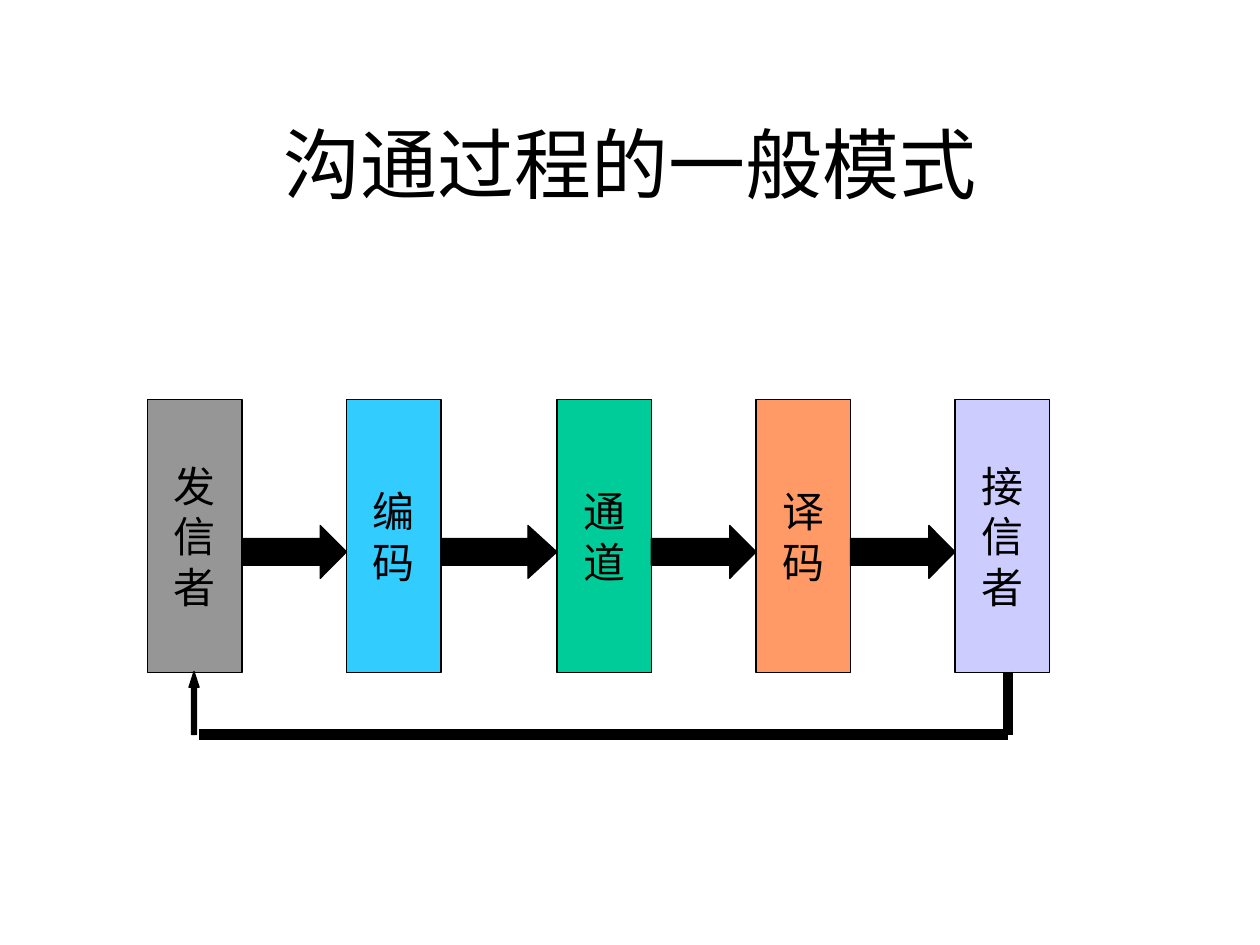
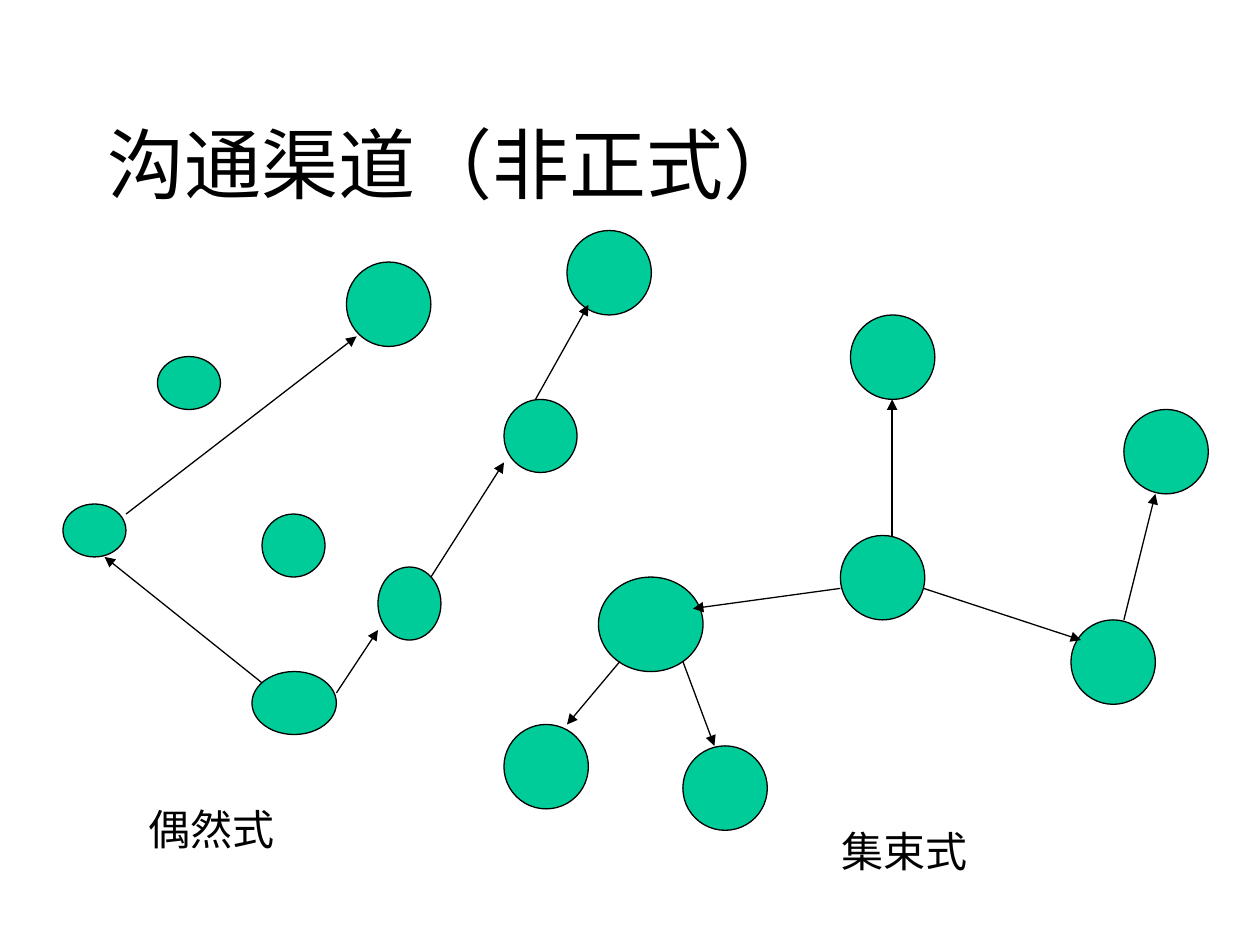
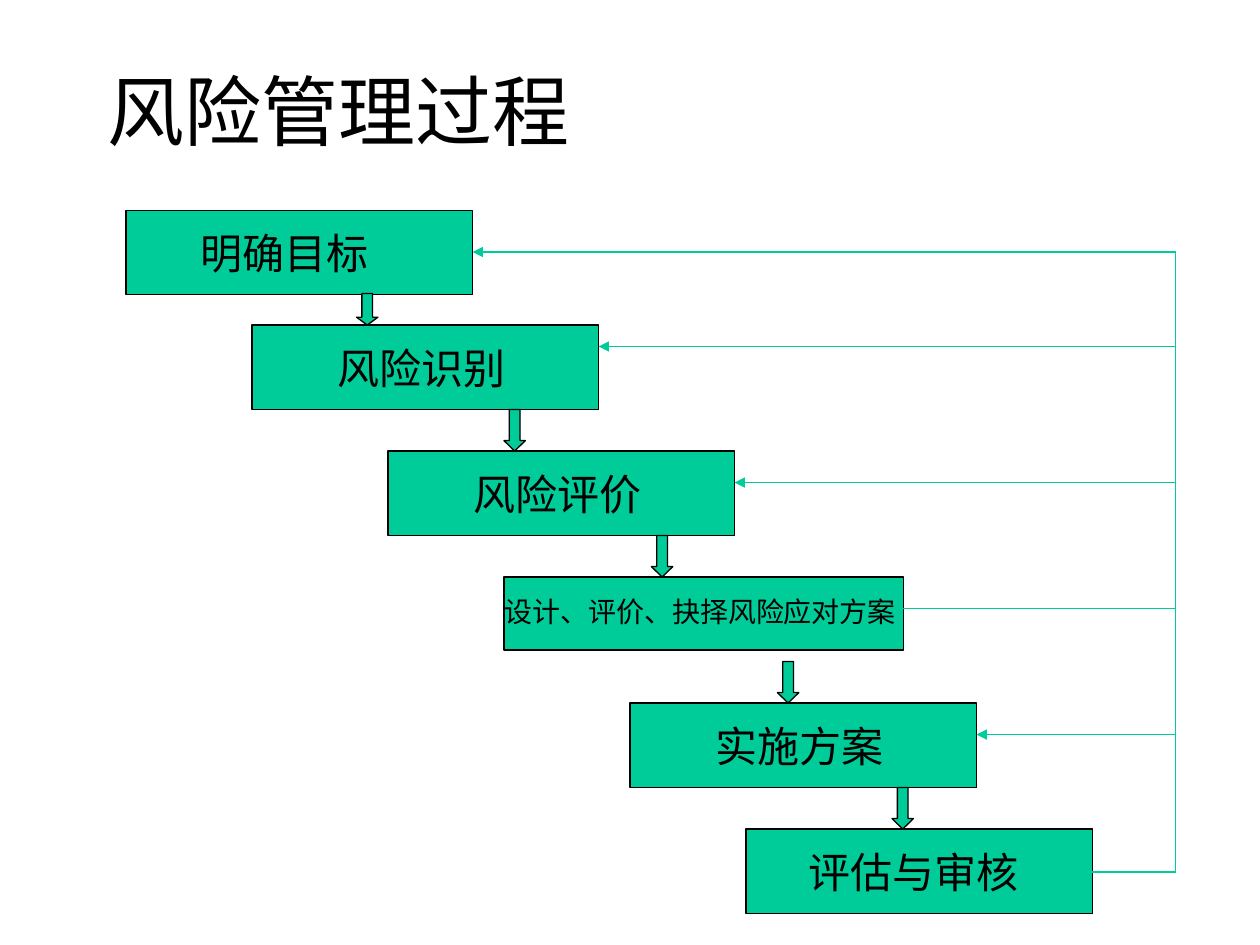
import pptx
import pptx.util
import pptx.dml.color
import pptx.enum.shapes
import pptx.enum.text
import pptx.oxml.ns
from lxml import etree

Inches, Pt = pptx.util.Inches, pptx.util.Pt
SHAPE = pptx.enum.shapes.MSO_SHAPE
ALIGN = pptx.enum.text.PP_ALIGN
ANCHOR = pptx.enum.text.MSO_ANCHOR
AUTO_SIZE = pptx.enum.text.MSO_AUTO_SIZE
qn = pptx.oxml.ns.qn

FONT = "Times New Roman"
COLORS = {
    "black": "000000",
    "grey": "969696",
    "blue": "33CCFF",
    "green": "00CC99",
    "orange": "FF9966",
    "lilac": "CCCCFF",
}


def rgb(name):
    return pptx.dml.color.RGBColor.from_string(COLORS[name])


def write(tf, text, size, align=ALIGN.LEFT):
    tf.text = text
    for p in tf.paragraphs:
        p.alignment = align
        for r in p.runs:
            r.font.size = Pt(size)
            r.font.name = FONT
            r.font.color.rgb = rgb("black")


def add_slide(prs, title, top=0.67, height=1.25, align=ALIGN.LEFT):
    s = prs.slides.add_slide(prs.slide_layouts.get_by_name("Title Only"))
    sp = s.shapes.title
    sp.left, sp.top = Inches(0.75), Inches(top)
    sp.width, sp.height = Inches(8.5), Inches(height)
    write(sp.text_frame, title, 44, align)
    sp.text_frame.vertical_anchor = ANCHOR.MIDDLE
    sp.text_frame.auto_size = AUTO_SIZE.NONE
    return s


def add_shape(s, kind, left, top, width, height, fill="green"):
    sp = s.shapes.add_shape(kind, Inches(left), Inches(top), Inches(width), Inches(height))
    sp.shadow.inherit = False
    sp.fill.solid()
    sp.fill.fore_color.rgb = rgb(fill)
    sp.line.color.rgb = rgb("black")
    sp.line.width = Pt(0.75)
    return sp


def add_block_arrow(s, kind, left, top, width, height, fill="green"):
    """Draw a block arrow whose head takes a quarter of its length."""
    sp = add_shape(s, kind, left, top, width, height, fill)
    sp.adjustments[1] = max(width, height) / min(width, height) / 4


def add_line(s, start, end, color="black", width=0.75, arrow=False):
    points = [Inches(v) for v in (*start, *end)]
    cxn = s.shapes.add_connector(pptx.enum.shapes.MSO_CONNECTOR.STRAIGHT, *points)
    cxn.line.color.rgb = rgb(color)
    cxn.line.width = Pt(width)
    if arrow:
        ln = cxn._element.spPr.find(qn("a:ln"))
        etree.SubElement(ln, qn("a:tailEnd"), type="triangle")
    etree.SubElement(cxn._element.spPr, qn("a:effectLst"))


def add_label(s, text, left, top, width, height=0.5, size=24, wrap=True):
    tb = s.shapes.add_textbox(Inches(left), Inches(top), Inches(width), Inches(height))
    tb.text_frame.word_wrap = wrap
    tb.text_frame.auto_size = AUTO_SIZE.SHAPE_TO_FIT_TEXT
    write(tb.text_frame, text, size)


def build_communication_process(prs):
    s = add_slide(prs, "沟通过程的一般模式", align=ALIGN.CENTER)
    stages = [
        ("发信者", 1.17, "grey"),
        ("编码", 2.75, "blue"),
        ("通道", 4.42, "green"),
        ("译码", 6, "orange"),
        ("接信者", 7.58, "lilac"),
    ]
    width = 0.75
    for text, left, fill in stages:
        sp = add_shape(s, SHAPE.RECTANGLE, left, 3.17, width, 2.17, fill)
        sp.text_frame.word_wrap = False
        sp.text_frame.vertical_anchor = ANCHOR.MIDDLE
        write(sp.text_frame, "\n".join(text), 24, ALIGN.CENTER)
    for (_, left, _), (_, following, _) in zip(stages, stages[1:]):
        start = left + width
        add_block_arrow(s, SHAPE.RIGHT_ARROW, start, 4.17, following - start, 0.42, "black")

    # Feedback from receiver to sender
    add_line(s, (1.58, 5.83), (8, 5.83), width=6)
    add_line(s, (8, 5.33), (8, 5.83), width=6)
    add_block_arrow(s, SHAPE.UP_ARROW, 1.5, 5.33, 0.08, 0.5, "black")


def build_informal_channels(prs):
    s = add_slide(prs, "沟通渠道（非正式）")
    big = (0.67, 0.67)
    chance_people = [
        (0.5, 4, 0.5, 0.42), (1.25, 2.83, 0.5, 0.42), (2.08, 4.08, 0.5, 0.5),
        (2, 5.33, 0.67, 0.5), (3, 4.5, 0.5, 0.58), (4, 3.17, 0.58, 0.58),
        (4.5, 1.83, *big), (2.75, 2.08, *big),
    ]
    cluster_people = [
        (4.75, 4.58, 0.83, 0.75), (6.75, 2.5, *big), (8.92, 3.25, *big),
        (6.67, 4.25, *big), (4, 5.75, *big), (5.42, 5.92, *big), (8.5, 4.92, *big),
    ]
    chance_messages = [
        ((3.42, 4.58), (4, 3.67)), ((4.25, 3.17), (4.67, 2.42)),
        ((2.67, 5.5), (3, 5)), ((2.08, 5.42), (0.83, 4.42)),
        ((1, 4.08), (2.83, 2.67)),
    ]
    cluster_messages = [
        ((6.67, 4.67), (5.5, 4.83)), ((7.33, 4.67), (8.58, 5.08)),
        ((7.08, 4.25), (7.08, 3.17)), ((8.92, 4.92), (9.17, 3.92)),
        ((4.92, 5.25), (4.5, 5.75)), ((5.42, 5.25), (5.67, 5.92)),
    ]
    for person in chance_people + cluster_people:
        add_shape(s, SHAPE.OVAL, *person)
    for start, end in chance_messages + cluster_messages:
        add_line(s, start, end, arrow=True)
    add_label(s, "偶然式", 1.08, 6.33, 2.58)
    add_label(s, "集束式", 6.58, 6.5, 2.25)


def build_risk_process(prs):
    s = add_slide(prs, "风险管理过程", top=0.33, height=1.08)
    # Step: box, then label left, width, height and size
    steps = [
        ("明确目标", (1, 1.67, 2.75, 0.67), (1.49, 1.55, 0.5, 24)),
        ("风险识别", (2, 2.58, 2.75, 0.67), (2.58, 1.55, 0.5, 24)),
        ("风险评价", (3.08, 3.58, 2.75, 0.67), (3.66, 1.55, 0.5, 24)),
        ("设计、评价、抉择风险应对方案", (4, 4.58, 3.17, 0.58), (3.91, 3.33, 0.37, 16)),
        ("实施方案", (5, 5.58, 2.75, 0.67), (5.58, 1.55, 0.5, 24)),
        ("评估与审核", (5.92, 6.58, 2.75, 0.67), (6.32, 1.9, 0.5, 24)),
    ]
    for _, box, _ in steps:
        add_shape(s, SHAPE.RECTANGLE, *box)

    down_arrows = [(2.83, 2.33), (4, 3.25), (5.17, 4.25), (6.17, 5.25), (7.08, 6.25)]
    for (left, top), (_, following, _) in zip(down_arrows, steps[1:]):
        add_block_arrow(s, SHAPE.DOWN_ARROW, left, top, 0.17, following[1] - top)

    # Feedback from the last step to all earlier ones
    trunk, first, last = 9.33, 2, 6.92
    add_line(s, (8.67, last), (trunk, last), "green")
    add_line(s, (trunk, last), (trunk, first), "green")
    for x, y in [(3.75, first), (4.75, 2.75), (5.83, 3.83), (6.75, 4.83), (7.75, 5.83)]:
        add_line(s, (trunk, y), (x, y), "green", arrow=True)

    for text, (_, top, _, _), (left, width, height, size) in steps:
        add_label(s, text, left, top + 0.09, width, height, size, wrap=False)


def main():
    prs = pptx.Presentation()
    prs.slide_width, prs.slide_height = Inches(10), Inches(7.5)
    build_communication_process(prs)
    build_informal_channels(prs)
    build_risk_process(prs)
    prs.save("out.pptx")


if __name__ == "__main__":
    main()
